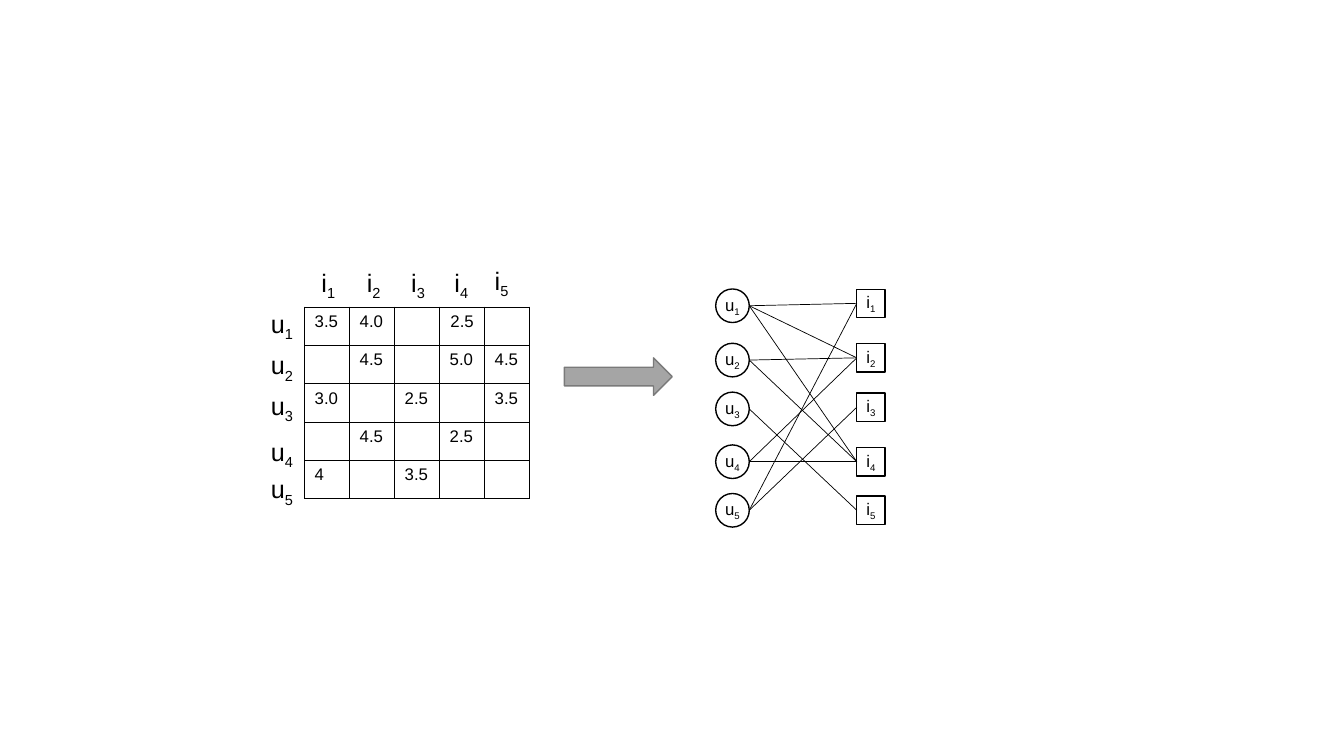
from dataclasses import dataclass

from lxml.etree import SubElement
from pptx import Presentation
from pptx.dml.color import RGBColor
from pptx.enum.shapes import MSO_CONNECTOR, MSO_SHAPE
from pptx.enum.text import MSO_ANCHOR, MSO_AUTO_SIZE, PP_ALIGN
from pptx.oxml.ns import qn
from pptx.util import Pt

RATINGS = [
    ["3.5", "4.0", "", "2.5", ""],
    ["", "4.5", "", "5.0", "4.5"],
    ["3.0", "", "2.5", "", "3.5"],
    ["", "4.5", "", "2.5", ""],
    ["4", "", "3.5", "", ""],
]
CENTRED_RATINGS = {(0, 3)}
# Items linked to each user in the graph
LINKS = {1: (1, 2, 4), 2: (2, 4), 3: (5,), 4: (2, 4), 5: (1, 3)}

# Left and top of each table label, in points
USER_LABELS = [(186.5, top) for top in (216.7, 246.2, 275.2, 308.2, 334.8)]
ITEM_LABELS = [(222.5, 187.2), (254.9, 187.2), (286.6, 187.2), (317.5, 187.2), (346.3, 185.8)]
USER_LABEL_SIZE = (31.7, 28.8)
ITEM_LABEL_SIZE = (25.2, 28.8)

# Vertical centre of each graph node, in points
USER_CENTRES = (218.4, 257.2, 292.1, 329.8, 364.5)
ITEM_CENTRES = (216.7, 255.6, 290.9, 329.8, 364.5)
USER_LEFT, USER_SIZE = 511.2, 24
ITEM_LEFT, ITEM_SIZE = 612, 20.2

TABLE_LEFT, TABLE_TOP = 217.6, 219.4
COLUMN_WIDTH, ROW_HEIGHT = 32.15, 27.4
ARROW_BOX = (403.2, 255.6, 77, 26.8)


@dataclass(frozen=True)
class Theme:
    font: str = "Arial"
    ink: RGBColor = RGBColor(0, 0, 0)
    paper: RGBColor = RGBColor(255, 255, 255)
    arrow: RGBColor = RGBColor(0xA5, 0xA5, 0xA5)
    arrow_edge: RGBColor = RGBColor(0x7A, 0x7A, 0x7A)
    small: float = 12
    large: float = 18
    outline: float = 1
    link: float = 0.5


THEME = Theme()


def points(*lengths):
    return [Pt(length) for length in lengths]


def set_font(paragraph, size):
    paragraph.font.name = THEME.font
    paragraph.font.size = Pt(size)
    paragraph.font.color.rgb = THEME.ink


def write_symbol(frame, letter, number, size):
    """Write a letter followed by its subscript number."""
    frame.word_wrap = False
    paragraph = frame.paragraphs[0]
    paragraph.add_run().text = letter
    subscript = paragraph.add_run()
    subscript.text = str(number)
    subscript._r.get_or_add_rPr().set("baseline", "-25000")
    set_font(paragraph, size)
    return paragraph


def add_filled_shape(shapes, kind, box, fill, edge):
    shape = shapes.add_shape(kind, *points(*box))
    shape.shadow.inherit = False
    shape.fill.solid()
    shape.fill.fore_color.rgb = fill
    shape.line.color.rgb = edge
    shape.line.width = Pt(THEME.outline)
    return shape


def add_nodes(shapes, kind, letter, left, size, centres):
    nodes = {}
    for number, centre in enumerate(centres, 1):
        box = (left, centre - size / 2, size, size)
        node = add_filled_shape(shapes, kind, box, THEME.paper, THEME.ink)
        node.text_frame.vertical_anchor = MSO_ANCHOR.MIDDLE
        symbol = write_symbol(node.text_frame, letter, number, THEME.small)
        symbol.alignment = PP_ALIGN.CENTER
        nodes[number] = node
    return nodes


def add_graph(slide):
    shapes = slide.shapes.add_group_shape().shapes
    add_nodes(shapes, MSO_SHAPE.OVAL, "u", USER_LEFT, USER_SIZE, USER_CENTRES)
    items = add_nodes(shapes, MSO_SHAPE.RECTANGLE, "i", ITEM_LEFT, ITEM_SIZE, ITEM_CENTRES)
    for user, linked_items in LINKS.items():
        for item in linked_items:
            ends = points(USER_LEFT + USER_SIZE, USER_CENTRES[user - 1],
                          ITEM_LEFT, ITEM_CENTRES[item - 1])
            link = shapes.add_connector(MSO_CONNECTOR.STRAIGHT, *ends)
            link.end_connect(items[item], 1)
            link.line.color.rgb = THEME.ink
            link.line.width = Pt(THEME.link)
            SubElement(link._element.spPr, qn("a:effectLst"))


def add_borders(cell):
    properties = cell._tc.get_or_add_tcPr()
    for position, side in enumerate(("lnL", "lnR", "lnT", "lnB")):
        border = SubElement(properties, qn(f"a:{side}"), w=str(Pt(THEME.outline)))
        fill = SubElement(border, qn("a:solidFill"))
        SubElement(fill, qn("a:srgbClr"), val=str(THEME.ink))
        properties.insert(position, border)


def add_ratings(slide):
    rows, columns = len(RATINGS), len(RATINGS[0])
    table = slide.shapes.add_table(rows, columns, *points(
        TABLE_LEFT, TABLE_TOP, columns * COLUMN_WIDTH, rows * ROW_HEIGHT)).table
    table.first_row = table.horz_banding = False
    for column in table.columns:
        column.width = Pt(COLUMN_WIDTH)
    for row_index, ratings in enumerate(RATINGS):
        table.rows[row_index].height = Pt(ROW_HEIGHT)
        for column_index, rating in enumerate(ratings):
            cell = table.cell(row_index, column_index)
            cell.text = rating
            cell.fill.solid()
            cell.fill.fore_color.rgb = THEME.paper
            add_borders(cell)
            paragraph = cell.text_frame.paragraphs[0]
            set_font(paragraph, THEME.small)
            if (row_index, column_index) in CENTRED_RATINGS:
                paragraph.alignment = PP_ALIGN.CENTER


def add_labels(slide, letter, places, size):
    shapes = slide.shapes.add_group_shape().shapes
    for number, place in enumerate(places, 1):
        label = shapes.add_textbox(*points(*place, *size))
        write_symbol(label.text_frame, letter, number, THEME.large)
        label.text_frame.auto_size = MSO_AUTO_SIZE.SHAPE_TO_FIT_TEXT


def main():
    presentation = Presentation()
    presentation.slide_width, presentation.slide_height = points(960, 540)
    slide = presentation.slides.add_slide(presentation.slide_layouts[6])
    add_graph(slide)
    add_filled_shape(slide.shapes, MSO_SHAPE.RIGHT_ARROW, ARROW_BOX,
                     THEME.arrow, THEME.arrow_edge)
    add_ratings(slide)
    add_labels(slide, "u", USER_LABELS, USER_LABEL_SIZE)
    add_labels(slide, "i", ITEM_LABELS, ITEM_LABEL_SIZE)
    presentation.save("out.pptx")


if __name__ == "__main__":
    main()
